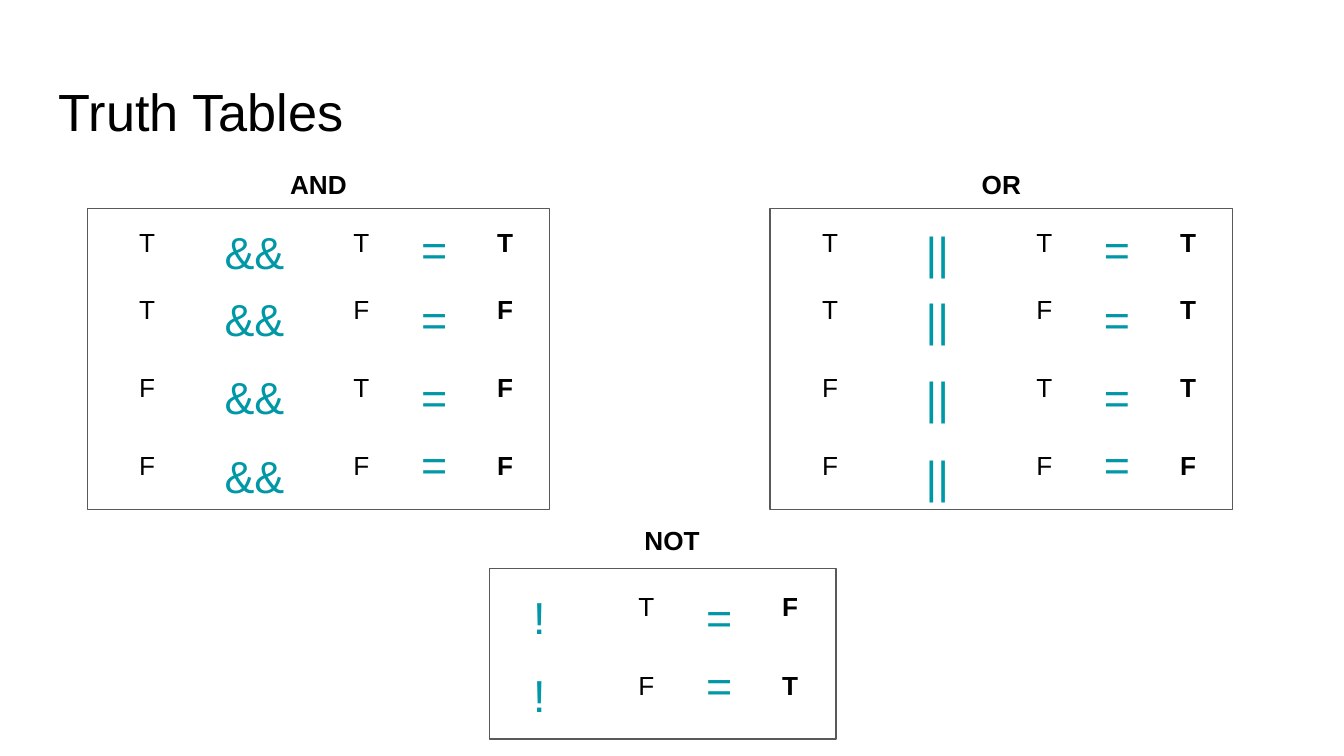
from dataclasses import dataclass
from typing import NamedTuple

from pptx import Presentation
from pptx.dml.color import RGBColor
from pptx.enum.shapes import MSO_SHAPE
from pptx.enum.text import PP_ALIGN
from pptx.util import Pt

COLORS = {"text": "000000", "symbol": "0097A7", "frame": "595959"}
FONT = "Arial"
INSET = 7.2

# Column offsets from a table's origin
LEFT_VALUE, OPERATOR, RIGHT_VALUE, EQUALS, RESULT = -3.6, 61.4, 111.2, 157.7, 188.2


class Area(NamedTuple):
    left: float
    top: float
    width: float
    height: float


class RowTops(NamedTuple):
    value: float
    operator: float
    equals: float


@dataclass(frozen=True)
class TruthTable:
    name: str
    operator: str
    origin: float
    frame: Area
    heading: Area
    row_tops: tuple[RowTops, ...]
    rows: tuple[str, ...]  # operands followed by the result


BINARY_TOPS = (
    RowTops(113.8, 108.7, 107.3),
    RowTops(149.8, 144.7, 144.7),
    RowTops(191.5, 186.5, 186.5),
    RowTops(233.3, 229, 222.5),
)
UNARY_TOPS = (RowTops(308.9, 304.6, 304.6), RowTops(351.4, 346.3, 340.6))


def binary_table(name: str, operator: str, left: float, rows: tuple[str, ...]) -> TruthTable:
    return TruthTable(name, operator, left, Area(left, 111.6, 247.7, 161.3),
                      Area(left, 82.8, 247.7, 30.2), BINARY_TOPS, rows)


TABLES = (
    binary_table("AND", "&&", 46.8, ("TTT", "TFF", "FTF", "FFF")),
    binary_table("OR", "||", 412.6, ("TTT", "TFT", "FTT", "FFF")),
    TruthTable("NOT", "!", 199.4, Area(262.1, 304.6, 185.8, 91.4),
               Area(236.2, 273.6, 247.7, 30.2), UNARY_TOPS, ("TF", "FT")),
)


def add_text(page, text: str, area: Area, size: float = 14, color: str = "text",
             bold: bool = False, align=PP_ALIGN.CENTER):
    """Add a one-line text box and return its paragraph."""
    box = page.shapes.add_textbox(*map(Pt, area))
    frame = box.text_frame
    frame.word_wrap = True
    frame.margin_left = frame.margin_right = Pt(INSET)
    frame.margin_top = frame.margin_bottom = Pt(INSET)
    para = frame.paragraphs[0]
    para.text = text
    para.alignment = align
    para.font.name = FONT
    para.font.size = Pt(size)
    para.font.bold = bold
    para.font.color.rgb = RGBColor.from_string(COLORS[color])
    return para


def add_value(page, text: str, left: float, top: float, bold: bool = False) -> None:
    add_text(page, text, Area(left, top, 71.3, 30.2), bold=bold)


def add_symbol(page, text: str, left: float, top: float) -> None:
    para = add_text(page, text, Area(left, top, 56.2, 40.3), size=24, color="symbol")
    para.line_spacing = 1.15
    para.space_after = Pt(16)


def add_frame(page, area: Area) -> None:
    box = page.shapes.add_shape(MSO_SHAPE.RECTANGLE, *map(Pt, area))
    box.shadow.inherit = False
    box.fill.background()
    box.line.color.rgb = RGBColor.from_string(COLORS["frame"])
    box.line.width = Pt(0.75)


def add_truth_table(page, table: TruthTable) -> None:
    add_text(page, table.name, table.heading, bold=True)
    for tops, (*operands, result) in zip(table.row_tops, table.rows):
        add_symbol(page, table.operator, table.origin + OPERATOR, tops.operator)
        for operand, column in zip(reversed(operands), (RIGHT_VALUE, LEFT_VALUE)):
            add_value(page, operand, table.origin + column, tops.value)
        add_symbol(page, "=", table.origin + EQUALS, tops.equals)
        add_value(page, result, table.origin + RESULT, tops.value, bold=True)
    add_frame(page, table.frame)


def main() -> None:
    deck = Presentation()
    deck.slide_width, deck.slide_height = Pt(720), Pt(405)
    page = deck.slides.add_slide(deck.slide_layouts[6])
    add_text(page, "Truth Tables", Area(24.5, 35.3, 671, 45.4), size=28, align=PP_ALIGN.LEFT)
    for table in TABLES:
        add_truth_table(page, table)
    deck.save("out.pptx")


if __name__ == "__main__":
    main()
